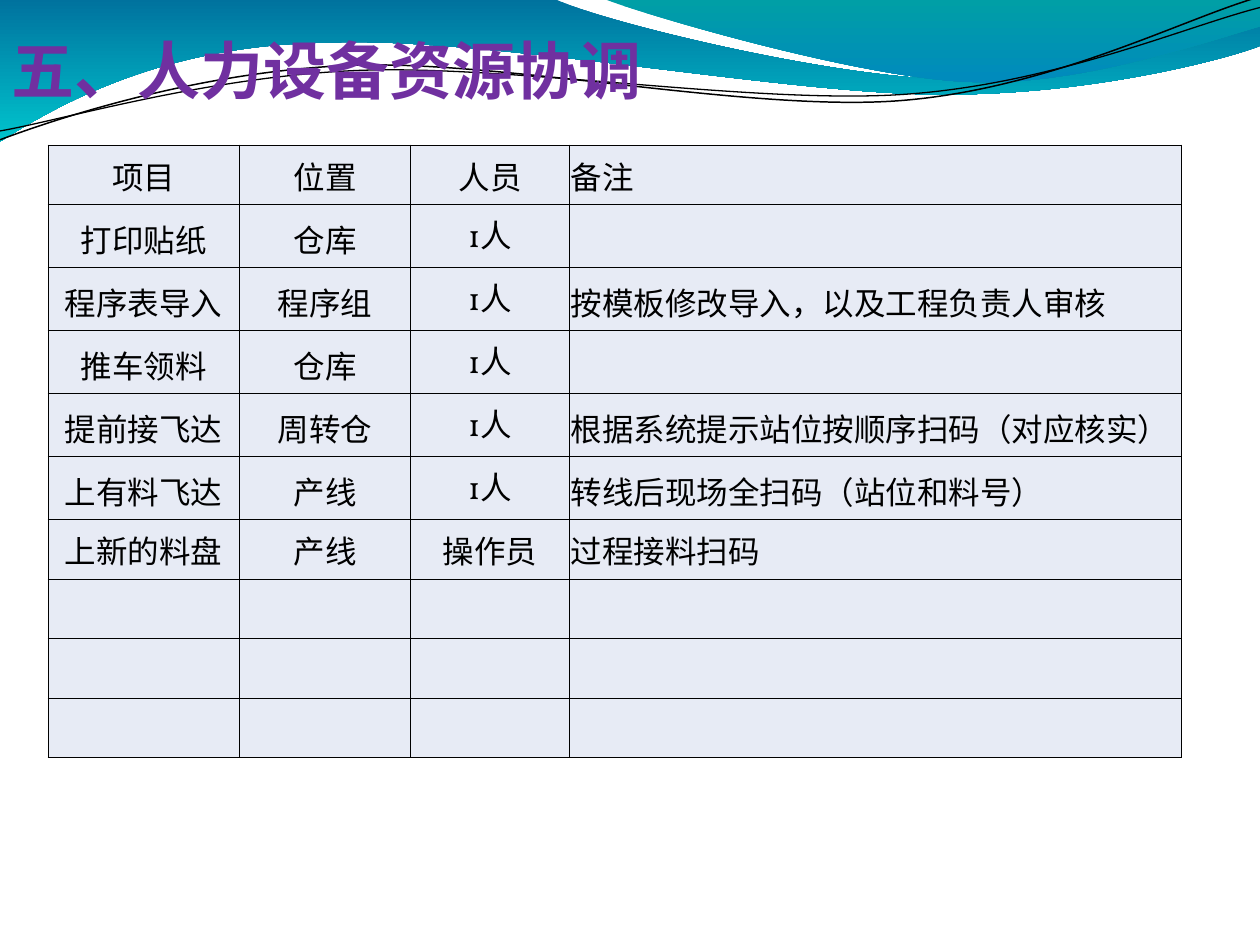
from math import cos, radians, sin

from lxml.etree import SubElement
from pptx import Presentation
from pptx.dml.color import RGBColor
from pptx.enum.text import MSO_ANCHOR, MSO_AUTO_SIZE, PP_ALIGN
from pptx.oxml.ns import qn
from pptx.util import Inches, Pt

TITLE = "五、人力设备资源协调"
ROWS = [
    ("项目", "位置", "人员", "备注"),
    ("打印贴纸", "仓库", "1人", ""),
    ("程序表导入", "程序组", "1人", "按模板修改导入，以及工程负责人审核"),
    ("推车领料", "仓库", "1人", ""),
    ("提前接飞达", "周转仓", "1人", "根据系统提示站位按顺序扫码（对应核实）"),
    ("上有料飞达", "产线", "1人", "转线后现场全扫码（站位和料号）"),
    ("上新的料盘", "产线", "操作员", "过程接料扫码"),
] + [("", "", "", "")] * 3
COLUMNS = (1.52, 1.36, 1.26, 4.86)
TABLE_HEIGHT = 4.72
COLORS = {"title": "7030A0", "text": "000000", "line": "000000", "cell": "E7EBF5"}
TITLE_FONT, TABLE_FONT = "Noto Sans CJK SC", "Vollkorn"
SIDES = ("left", "top", "width", "height")

# Each outline is a start point, then lines (one point) or Bézier curves (three points)
WAVES = [
    {"frame": (-0.01, -0.01, 10.02, 1.14), "gradient": ("00729E", "00C4CD"),
     "start": (0, 0), "segments": [
        [(4.4, -0.01)],
        [(4.76, 0.17), (6.64, 0.63), (7.58, 0.63)],
        [(8.53, 0.63), (9.58, 0.26), (10, 0.09)],
        [(10.01, 0.36)],
        [(9.83, 0.44), (8.7, 0.76), (7.46, 0.75)],
        [(6.22, 0.75), (3.82, 0.28), (2.57, 0.34)],
        [(1.29, 0.36), (0.46, 0.83), (-0.01, 1.13)],
        [(0, 0)]]},
    {"frame": (4.79, -0.01, 5.21, 0.7), "gradient": ("009FA6", "0089BE"),
     "start": (4.79, -0.01), "segments": [
        [(5.09, 0.11), (6.82, 0.62), (7.69, 0.65)],
        [(8.56, 0.69), (9.61, 0.32), (10, 0.21)],
        [(10, 0)],
        [(4.79, -0.01)]]},
    {"frame": (-0.02, 0.22, 10.02, 0.71), "turn": -2.7, "width": 0.85,
     "start": (0, 1.11), "segments": [
        [(0.48, 0.93), (1.58, 0.57), (2.77, 0.52)],
        [(3.96, 0.47), (5.93, 0.89), (7.13, 0.8)],
        [(8.33, 0.71), (9.39, 0.15), (9.98, -0.02)]]},
    {"frame": (-0.01, 0.3, 10.04, 0.58), "turn": -2.7, "width": 0.75,
     "start": (0, 1.04), "segments": [
        [(0.47, 0.96), (1.64, 0.61), (2.83, 0.56)],
        [(4.03, 0.51), (5.98, 0.83), (7.17, 0.75)],
        [(8.36, 0.67), (9.41, 0.21), (10, 0.06)]]},
]


def rgb(value):
    return RGBColor.from_string(value)


def place(shape, frame):
    for side, value in zip(SIDES, frame):
        setattr(shape, side, Inches(value))


def local_point(point, frame, turn):
    """Slide position as a position inside the frame before it is turned."""
    left, top, width, height = frame
    dx, dy = point[0] - left - width / 2, point[1] - top - height / 2
    angle = radians(-turn)
    return (dx * cos(angle) - dy * sin(angle) + width / 2,
            dx * sin(angle) + dy * cos(angle) + height / 2)


def draw_curves(shape, wave):
    """Turn the straight sides of a freeform into its lines and Bézier curves."""
    outline = next(shape._element.iter(qn("a:path")))
    for child in list(outline):
        outline.remove(child)
    for key, size in zip("wh", wave["frame"][2:]):
        outline.set(key, str(Inches(size)))
    names = {1: "a:lnTo", 3: "a:cubicBezTo"}
    steps = [("a:moveTo", [wave["start"]])]
    steps += [(names[len(segment)], segment) for segment in wave["segments"]]
    for name, points in steps:
        step = SubElement(outline, qn(name))
        for point in points:
            x, y = local_point(point, wave["frame"], wave.get("turn", 0))
            SubElement(step, qn("a:pt"), x=str(Inches(x)), y=str(Inches(y)))
    if "gradient" in wave:
        SubElement(outline, qn("a:close"))


def add_wave(page, wave):
    builder = page.shapes.build_freeform(*map(Inches, wave["start"]))
    builder.add_line_segments(
        [tuple(map(Inches, segment[-1])) for segment in wave["segments"]], close=False)
    shape = builder.convert_to_shape()
    place(shape, wave["frame"])
    shape.rotation = wave.get("turn", 0)
    draw_curves(shape, wave)
    shape.shadow.inherit = False
    if "gradient" in wave:
        shape.fill.gradient()
        shape.fill.gradient_angle = 270
        for stop, color in zip(shape.fill.gradient_stops, wave["gradient"]):
            stop.color.rgb = rgb(color)
        shape.line.fill.background()
    else:
        shape.fill.background()
        shape.line.color.rgb = rgb(COLORS["line"])
        shape.line.width = Pt(wave["width"])


def format_font(font, name, size, color, bold=False):
    for key, value in {"name": name, "size": Pt(size), "bold": bold}.items():
        setattr(font, key, value)
    font.color.rgb = rgb(color)


def add_borders(cell):
    properties = cell._tc.get_or_add_tcPr()
    for index, side in enumerate(("lnL", "lnR", "lnT", "lnB")):
        line = properties.makeelement(qn(f"a:{side}"), {"w": str(Pt(0.45))})
        fill = SubElement(line, qn("a:solidFill"))
        SubElement(fill, qn("a:srgbClr"), val=COLORS["line"])
        properties.insert(index, line)


def add_title(page):
    title = page.shapes.title
    page.shapes._spTree.append(title._element)  # in front of the waves
    place(title, (0, 0.16, 10, 0.78))
    frame = title.text_frame
    frame.text = TITLE
    settings = {"word_wrap": True, "auto_size": MSO_AUTO_SIZE.NONE,
                "vertical_anchor": MSO_ANCHOR.MIDDLE,
                "margin_left": Inches(0.09), "margin_right": Inches(0.09)}
    for key, value in settings.items():
        setattr(frame, key, value)
    para = frame.paragraphs[0]
    para.alignment = PP_ALIGN.LEFT
    span = para.runs[0]
    format_font(span.font, TITLE_FONT, 36, COLORS["title"], True)
    SubElement(span._r.get_or_add_rPr(), qn("a:ea"), typeface=TITLE_FONT)


def add_schedule(page):
    table = page.shapes.add_table(
        len(ROWS), len(COLUMNS), Inches(0.38), Inches(1.15),
        Inches(sum(COLUMNS)), Inches(TABLE_HEIGHT)).table
    for column, width in zip(table.columns, COLUMNS):
        column.width = Inches(width)
    for r, row in enumerate(ROWS):
        for c, text in enumerate(row):
            cell = table.cell(r, c)
            cell.margin_left = cell.margin_right = Inches(0.01)
            cell.vertical_anchor = MSO_ANCHOR.BOTTOM
            cell.fill.solid()
            cell.fill.fore_color.rgb = rgb(COLORS["cell"])
            add_borders(cell)
            if text:
                cell.text = text
                para = cell.text_frame.paragraphs[0]
                para.alignment = PP_ALIGN.LEFT if c == len(COLUMNS) - 1 else PP_ALIGN.CENTER
                format_font(para.runs[0].font, TABLE_FONT, 18, COLORS["text"])


def main():
    deck = Presentation()
    deck.slide_width, deck.slide_height = Inches(10), Inches(7.5)
    page = deck.slides.add_slide(deck.slide_layouts[5])
    for wave in WAVES:
        add_wave(page, wave)
    add_title(page)
    add_schedule(page)
    deck.save("out.pptx")


if __name__ == "__main__":
    main()
